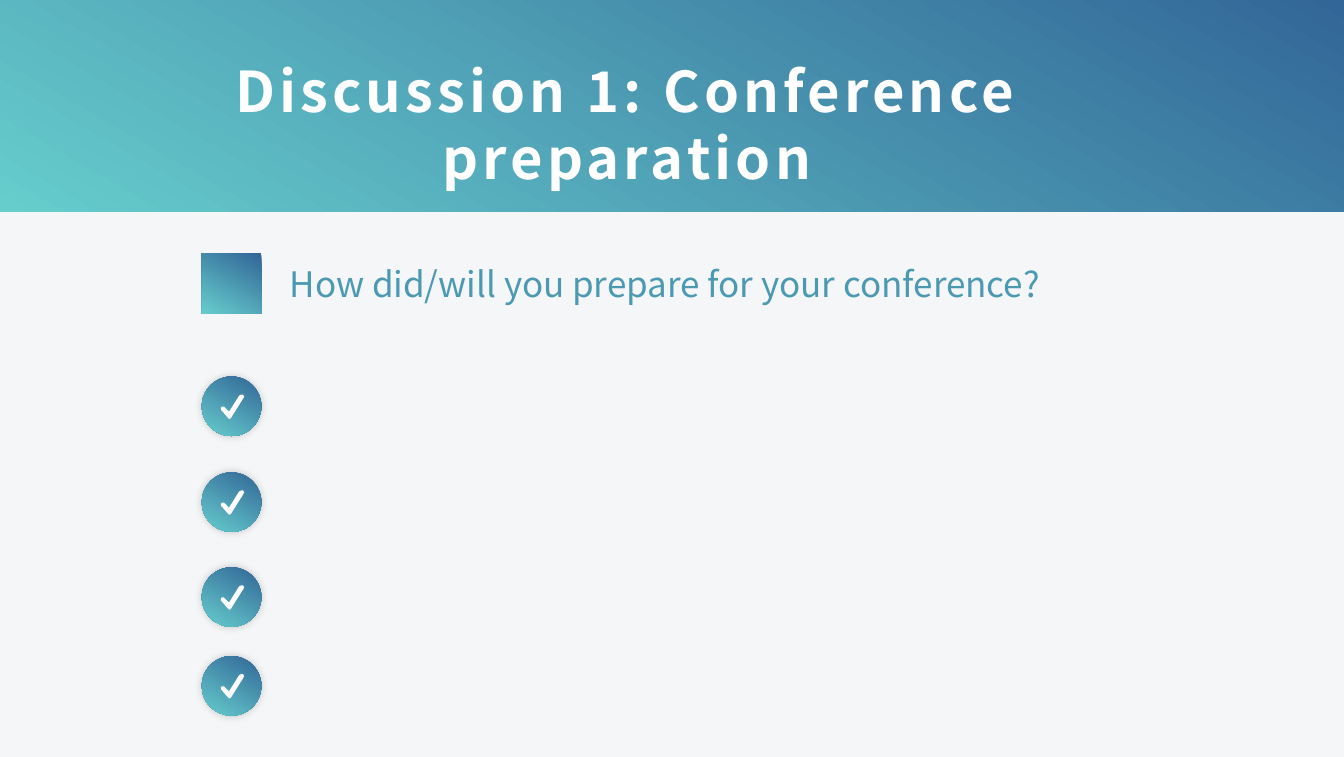
import pptx
import pptx.util
import pptx.dml.color
import pptx.enum.shapes
import pptx.enum.text
import pptx.oxml
import pptx.oxml.ns
from dataclasses import dataclass

Inches = pptx.util.Inches
Pt = pptx.util.Pt
RGB = pptx.dml.color.RGBColor.from_string
SHAPE = pptx.enum.shapes.MSO_SHAPE
ALIGN = pptx.enum.text.PP_ALIGN

SLIDE_WIDTH, SLIDE_HEIGHT = 13.32, 7.5


@dataclass(frozen=True)
class Theme:
    font: str = "Noto Sans CJK SC"
    background: str = "F5F6F7"
    deep_blue: str = "326698"
    aqua: str = "66CDCC"
    teal: str = "4C9AB2"
    white: str = "FFFFFF"
    title_size: int = 40
    question_size: int = 25
    line_height: float = 1.2
    # Counter-clockwise degrees: from the upper right to the lower left
    gradient_angle: int = 240


SHADOW = (
    f'<a:outerShdw {pptx.oxml.ns.nsdecls("a")} blurRad="{Pt(6)}" dist="0" '
    'dir="18900000" algn="ctr" rotWithShape="0">'
    '<a:srgbClr val="000000"><a:alpha val="20000"/></a:srgbClr></a:outerShdw>'
)

# Outline of the check mark, in inches from the corner of its badge
CHECK_MARK = [
    (0.27, 0.42), (0.26, 0.41), (0.19, 0.33), (0.19, 0.31), (0.2, 0.3),
    (0.22, 0.3), (0.23, 0.31), (0.27, 0.35), (0.37, 0.19), (0.39, 0.18),
    (0.41, 0.18), (0.42, 0.2), (0.41, 0.22), (0.29, 0.41), (0.28, 0.42),
]


def write_text(frame, text, *, font, size, color, line_height,
               bold=False, align=ALIGN.LEFT, spacing=0):
    paragraph = frame.paragraphs[0]
    paragraph.alignment = align
    paragraph.line_spacing = Pt(size * line_height)
    run = paragraph.add_run()
    run.text = text
    run.font.name = font
    run.font.size = Pt(size)
    run.font.bold = bold
    run.font.color.rgb = RGB(color)
    if spacing:
        run.font._element.set("spc", str(spacing * 100))


class SlideBuilder:
    def __init__(self, slide, theme):
        self.slide = slide
        self.theme = theme
        slide.background.fill.solid()
        slide.background.fill.fore_color.rgb = RGB(theme.background)

    def gradient_shape(self, kind, left, top, width, height, shapes=None):
        shapes = self.slide.shapes if shapes is None else shapes
        shape = shapes.add_shape(
            kind, Inches(left), Inches(top), Inches(width), Inches(height))
        shape.shadow.inherit = False
        shape.line.fill.background()
        shape.fill.gradient()
        shape.fill.gradient_angle = self.theme.gradient_angle
        colors = (self.theme.deep_blue, self.theme.aqua)
        for stop, color in zip(shape.fill.gradient_stops, colors):
            stop.color.rgb = RGB(color)
        return shape

    def text(self, text, left, top, width, height, **text_format):
        box = self.slide.shapes.add_textbox(
            Inches(left), Inches(top), Inches(width), Inches(height))
        frame = box.text_frame
        frame.word_wrap = True
        frame.margin_left = frame.margin_right = Inches(0.05)
        frame.margin_top = frame.margin_bottom = Inches(0.05)
        write_text(frame, text, font=self.theme.font,
                   line_height=self.theme.line_height, **text_format)

    def check_badge(self, left, top, size):
        badge = self.slide.shapes.add_group_shape()
        disc = self.gradient_shape(
            SHAPE.OVAL, left, top, size, size, badge.shapes)
        effects = disc._element.spPr.find(pptx.oxml.ns.qn("a:effectLst"))
        effects.append(pptx.oxml.parse_xml(SHADOW))

        points = [(Inches(left + x), Inches(top + y)) for x, y in CHECK_MARK]
        outline = badge.shapes.build_freeform(*points[0])
        outline.add_line_segments(points[1:], close=True)
        check = outline.convert_to_shape()
        check.shadow.inherit = False
        check.fill.solid()
        check.fill.fore_color.rgb = RGB(self.theme.white)
        check.line.fill.background()


def main():
    theme = Theme()
    deck = pptx.Presentation()
    deck.slide_width = Inches(SLIDE_WIDTH)
    deck.slide_height = Inches(SLIDE_HEIGHT)
    builder = SlideBuilder(deck.slides.add_slide(deck.slide_layouts[6]), theme)

    # Header band and title
    builder.gradient_shape(SHAPE.RECTANGLE, 0, 0, SLIDE_WIDTH, 2.1)
    builder.text("Discussion 1: Conference preparation",
                 1.28, 0.51, 9.87, 1.43, size=theme.title_size,
                 color=theme.white, bold=True, align=ALIGN.CENTER, spacing=3)

    # Question with its square marker
    builder.gradient_shape(SHAPE.RECTANGLE, 2, 2.51, 0.59, 0.6)
    builder.text("How did/will you prepare for your conference?",
                 2.82, 2.55, 9.48, 0.52, size=theme.question_size,
                 color=theme.teal)

    # Check badges for the answers
    for badge_top in (3.73, 4.68, 5.62, 6.5):
        builder.check_badge(2, badge_top, 0.59)

    deck.save("out.pptx")


if __name__ == "__main__":
    main()
